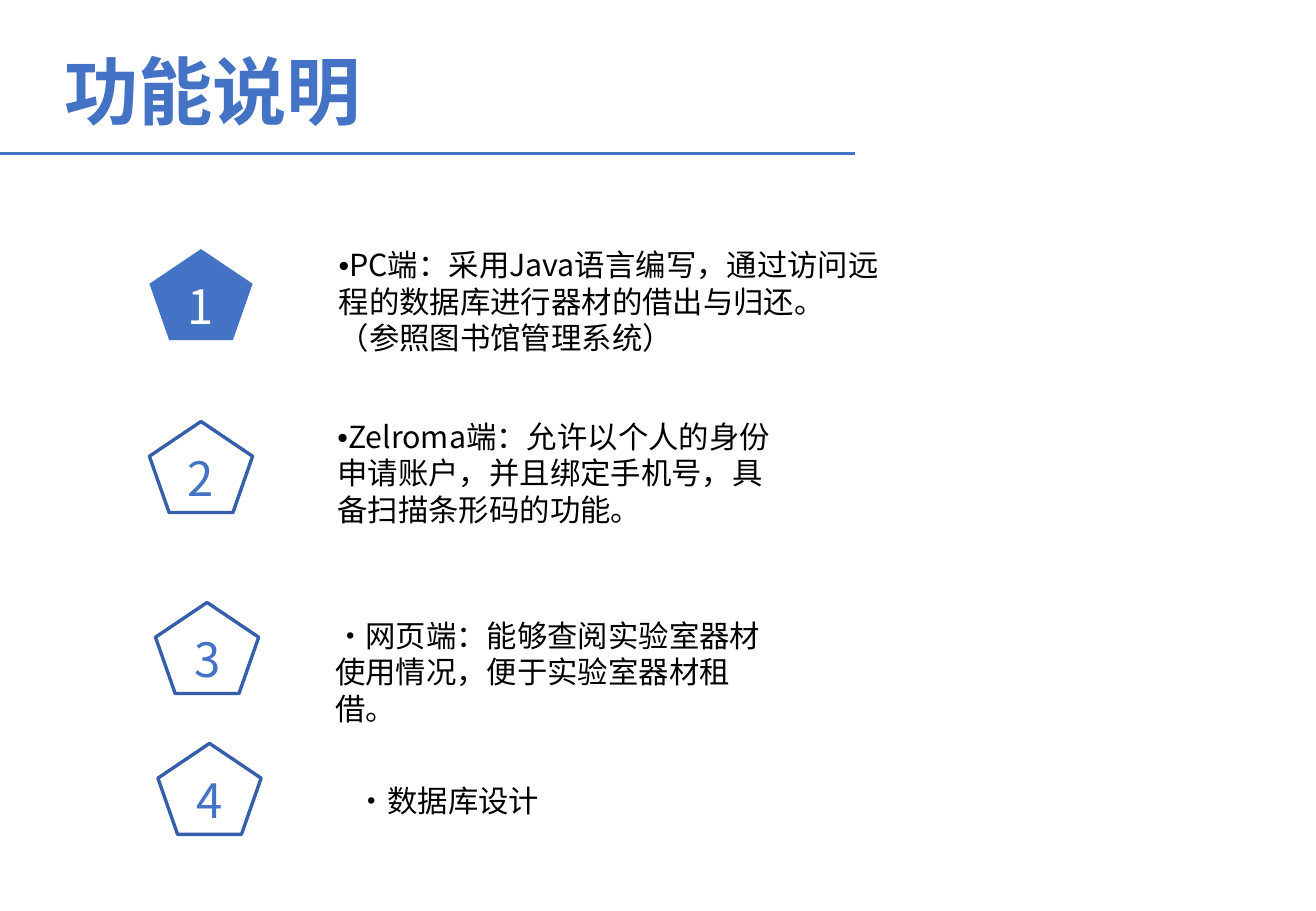
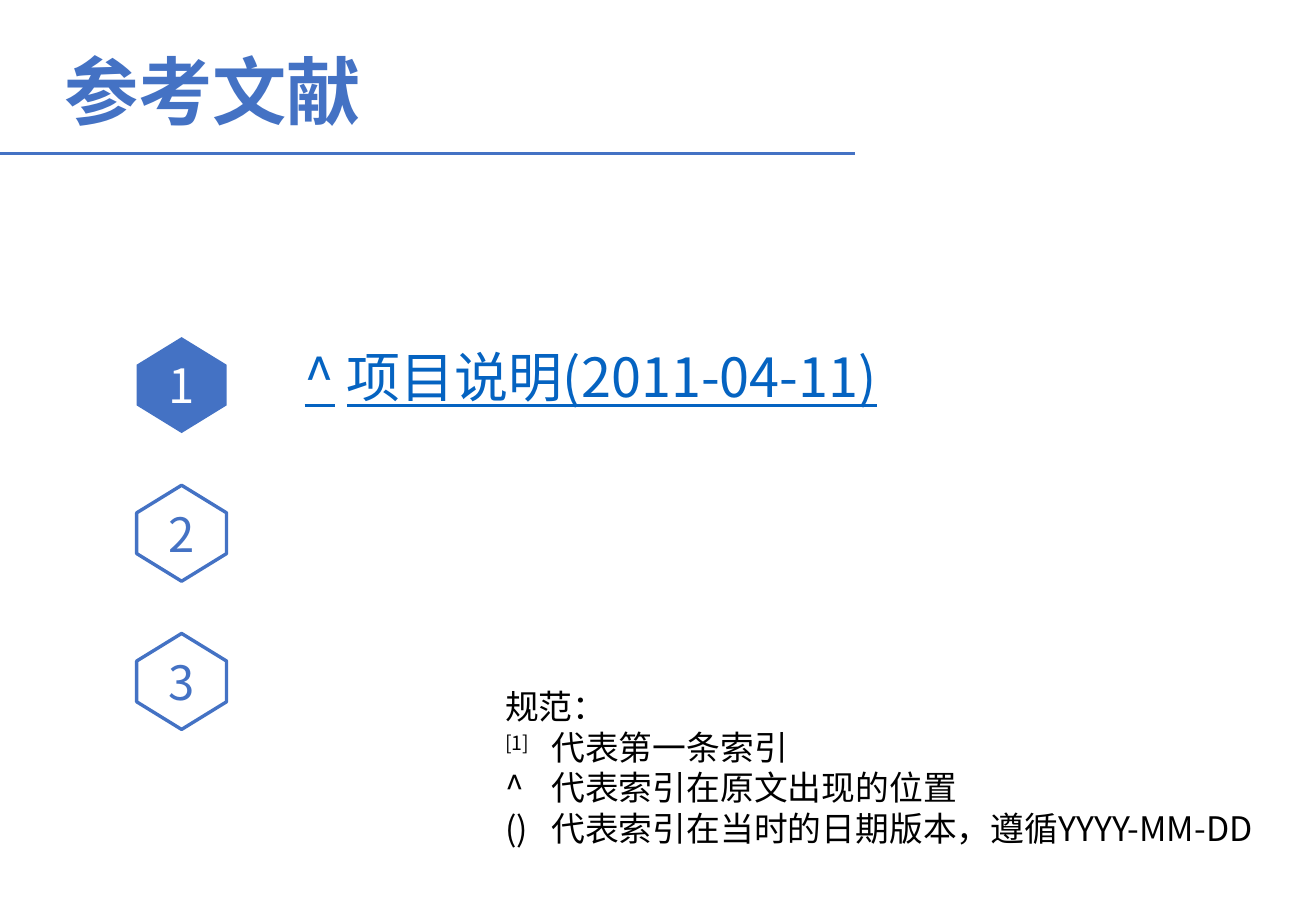
from dataclasses import dataclass

from lxml import etree
from pptx import Presentation
from pptx import util as u
from pptx.dml.color import RGBColor
from pptx.enum import shapes, text
from pptx.oxml import ns

# The slide is a grid of 65 columns by 45 rows of square cells
COLS, ROWS = 65, 45
CELL = u.Inches(1) / 6


@dataclass(frozen=True)
class Theme:
    font: str = "Noto Sans CJK SC"
    bullet_font: str = "Arial"
    accent: str = "4472C4"
    outline: str = "365FAA"
    link: str = "0563C1"
    ink: str = "000000"
    paper: str = "FFFFFF"
    title: int = 44
    reference: int = 32
    number: int = 28
    note: int = 20
    body: int = 18
    rule: float = 1.75
    border: float = 2


def cells(*values):
    return [u.Emu(round(v * CELL)) for v in values]


def rgb(code):
    return RGBColor.from_string(code)


class Deck:
    def __init__(self, theme):
        self.t = theme
        self.prs = Presentation()
        self.prs.slide_width, self.prs.slide_height = cells(COLS, ROWS)
        self.slide = None

    # Shared frame: heading and rule below it
    def new_slide(self, title):
        self.slide = self.prs.slides.add_slide(self.prs.slide_layouts[6])
        line = self.slide.shapes.add_connector(
            shapes.MSO_CONNECTOR.STRAIGHT, *cells(0, 7.56, 42.24, 7.56))
        line.line.color.rgb = rgb(self.t.accent)
        line.line.width = u.Pt(self.t.rule)
        etree.SubElement(line._element.spPr, ns.qn("a:effectLst"))
        tf = self.text_box(2.58, 1.92, 52.2, 4.26)
        tf.text = title
        self.style(tf.paragraphs[0].runs[0], self.t.title, self.t.accent, bold=True)

    def style(self, r, size, color, bold=False, underline=False, latin=None):
        f = r.font
        f.size, f.bold, f.underline = u.Pt(size), bold, underline
        f.color.rgb = rgb(color)
        f.name = latin or self.t.font
        ea = etree.Element(ns.qn("a:ea"), typeface=self.t.font)
        r._r.rPr.find(ns.qn("a:latin")).addnext(ea)

    def text_box(self, x, y, w, h):
        tf = self.slide.shapes.add_textbox(*cells(x, y, w, h)).text_frame
        tf.word_wrap = True
        return tf

    def add_run(self, p, content, size, color, **look):
        r = p.add_run()
        r.text = content
        self.style(r, size, color, **look)
        return r

    # Numbered marker: the first is solid, the others are outlined
    def marker(self, kind, number, x, y, w, h, outline):
        sp = self.slide.shapes.add_shape(kind, *cells(x, y, w, h))
        sp.shadow.inherit = False
        solid = number == 1
        if solid:
            sp.fill.solid()
            sp.fill.fore_color.rgb = rgb(self.t.accent)
            sp.line.fill.background()
        else:
            sp.fill.background()
            sp.line.color.rgb = rgb(outline)
            sp.line.width = u.Pt(self.t.border)
        tf = sp.text_frame
        tf.text = str(number)
        tf.vertical_anchor = text.MSO_ANCHOR.MIDDLE
        p = tf.paragraphs[0]
        p.alignment = text.PP_ALIGN.CENTER
        self.style(p.runs[0], self.t.number, self.t.paper if solid else self.t.accent)
        return sp

    def pentagon(self, number, x, y):
        self.marker(shapes.MSO_SHAPE.REGULAR_PENTAGON, number, x, y, 5.1, 4.5,
                    self.t.outline)

    def hexagon(self, number, x, y):
        sp = self.marker(shapes.MSO_SHAPE.HEXAGON, number, x, y, 4.74, 4.44,
                         self.t.accent)
        sp.adjustments[0] = 0.307
        # Point upwards, with the number kept upright
        sp.rotation = 90
        sp.text_frame._txBody.bodyPr.set("vert", "vert270")

    def item(self, content, x, y, w, h):
        p = self.text_box(x, y, w, h).paragraphs[0]
        # Punctuation stays inside the frame
        p._p.get_or_add_pPr().set("hangingPunct", "0")
        self.add_run(p, "•", self.t.body, self.t.ink, latin=self.t.bullet_font)
        self.add_run(p, content, self.t.body, self.t.ink)

    def reference(self, content, x, y, w, h):
        p = self.text_box(x, y, w, h).paragraphs[0]
        size, link = self.t.reference, self.t.link
        self.add_run(p, "^", size, link, underline=True)
        self.add_run(p, " ", size, self.t.ink)
        self.add_run(p, content, size, link, underline=True)

    # Legend: a heading, then a symbol and its meaning on each line
    def legend(self, heading, entries, x, y, w, h):
        tf = self.text_box(x, y, w, h)
        size, ink = self.t.note, self.t.ink
        self.add_run(tf.paragraphs[0], heading, size, ink)
        for symbol, meaning, raised in entries:
            p = tf.add_paragraph()
            tabs = etree.SubElement(p._p.get_or_add_pPr(), ns.qn("a:tabLst"))
            etree.SubElement(tabs, ns.qn("a:tab"), pos=str(u.Inches(0.38)), algn="l")
            r = self.add_run(p, symbol, size, ink)
            if raised:
                r._r.rPr.set("baseline", "30000")
            self.add_run(p, "\t" + meaning, size, ink)


def main():
    deck = Deck(Theme())

    # Functions: marker position, text frame, text
    deck.new_slide("功能说明")
    functions = [
        ((7.38, 12.3), (16.14, 11.88, 27.96, 6.12),
         "PC端：采用Java语言编写，通过访问远程的数据库进行器材的借出与归还。（参照图书馆管理系统）"),
        ((7.38, 20.82), (16.08, 20.34, 23.16, 6.12),
         "Zelroma端：允许以个人的身份申请账户，并且绑定手机号，具备扫描条形码的功能。"),
        ((7.68, 29.76), (15.96, 30.18, 22.98, 4.32),
         "网页端：能够查阅实验室器材使用情况，便于实验室器材租借。"),
        ((7.8, 36.72), (17.04, 38.34, 16.68, 2.4), "数据库设计"),
    ]
    for number, (corner, frame, content) in enumerate(functions, 1):
        deck.pentagon(number, *corner)
        deck.item(content, *frame)

    # References
    deck.new_slide("参考文献")
    for i in range(3):
        deck.hexagon(i + 1, 6.6, 16.8 + 7.32 * i)
    deck.reference("项目说明(2011-04-11)", 14.46, 16.68, 50, 27.54)
    deck.legend("规范：", [
        ("[1]", "代表第一条索引", True),
        ("^", "代表索引在原文出现的位置", False),
        ("()", "代表索引在当时的日期版本，遵循YYYY-MM-DD", False),
    ], 24.36, 33.6, 40.6, 8.7)

    deck.prs.save("out.pptx")


if __name__ == "__main__":
    main()
